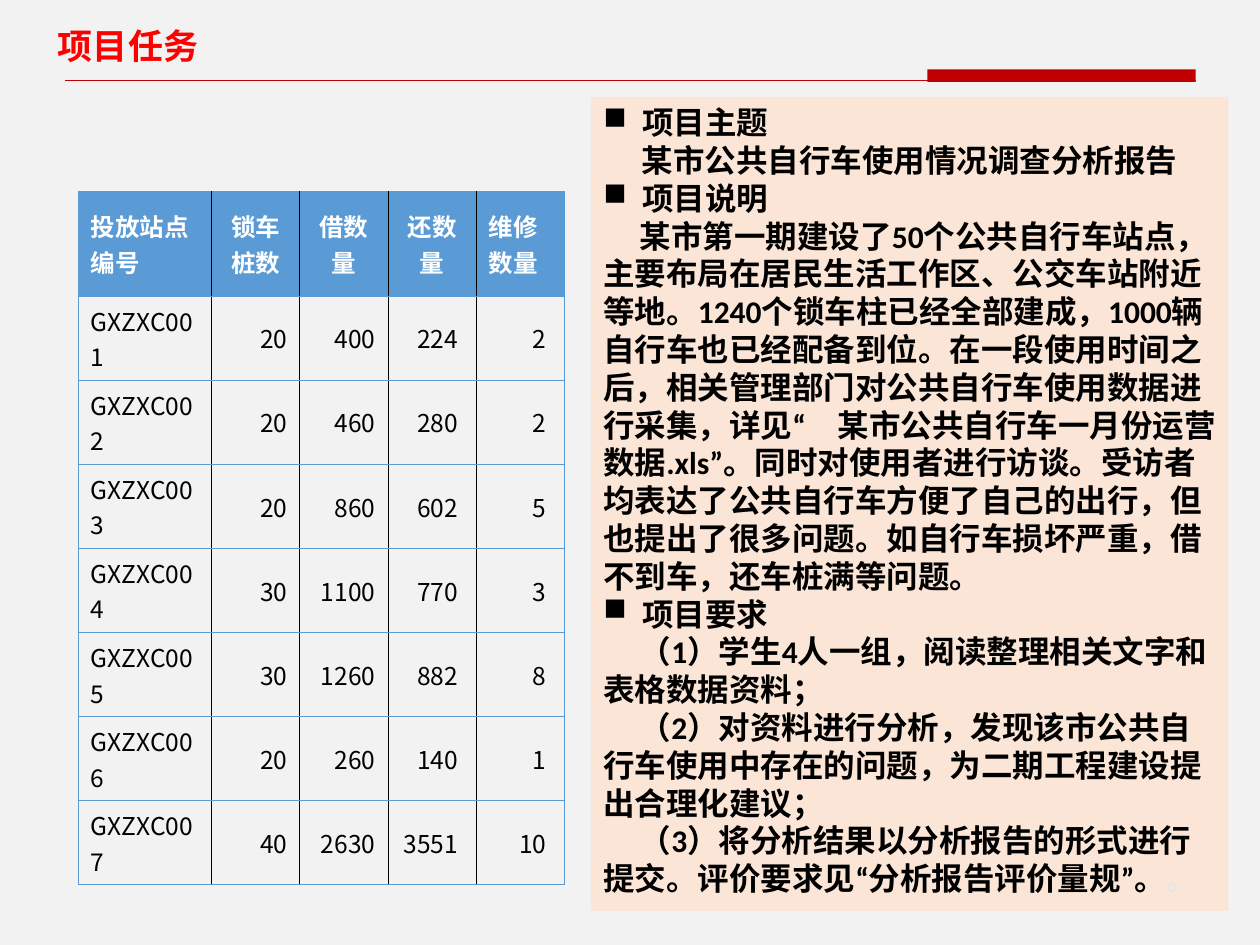
from lxml import etree
from pptx import Presentation
from pptx.dml.color import RGBColor
from pptx.enum import shapes, text
from pptx.oxml import ns
from pptx.util import Inches, Pt

RED = RGBColor(0xFF, 0x00, 0x00)
DARK_RED = RGBColor(0xC0, 0x00, 0x00)
BLUE = RGBColor(0x5B, 0x9B, 0xD5)
PEACH = RGBColor(0xFB, 0xE5, 0xD6)
PALE = RGBColor(0xF2, 0xF2, 0xF2)
GREY = RGBColor(0xE7, 0xE6, 0xE6)
BLACK = RGBColor(0, 0, 0)
WHITE = RGBColor(0xFF, 0xFF, 0xFF)
SANS, SERIF, BODY = "Noto Sans CJK SC", "Times New Roman", "Calibri"
LEFT, CENTER, RIGHT = text.PP_ALIGN.LEFT, text.PP_ALIGN.CENTER, text.PP_ALIGN.RIGHT

TITLE = "项目任务"
HEADER = ["投放站点编号", "锁车桩数", "借数量", "还数量", "维修数量"]
HEADER_ALIGN = [LEFT, CENTER, CENTER, CENTER, LEFT]
STATIONS = [
    ["GXZXC001", "20", "400", "224 ", "2 "],
    ["GXZXC002", "20", "460", "280 ", "2 "],
    ["GXZXC003", "20", "860", "602 ", "5 "],
    ["GXZXC004", "30", "1100", "770 ", "3 "],
    ["GXZXC005", "30", "1260", "882 ", "8 "],
    ["GXZXC006", "20", "260", "140 ", "1 "],
    ["GXZXC007", "40", "2630", "3551 ", "10 "],
]
COLUMN_WIDTHS = [1.06, 0.7, 0.7, 0.7, 0.7]
HEADER_HEIGHT, ROW_HEIGHT = 0.83, 0.52

# Paragraph style and text
BRIEF = [
    ("bullet", "项目主题"),
    ("center", "某市公共自行车使用情况调查分析报告"),
    ("bullet", "项目说明"),
    ("indent", "某市第一期建设了50个公共自行车站点，主要布局在居民生活工作区、公交车站附近等地。"
               "1240个锁车柱已经全部建成，1000辆自行车也已经配备到位。在一段使用时间之后，"
               "相关管理部门对公共自行车使用数据进行采集，详见👈“某市公共自行车一月份运营数据.xls”。"
               "同时对使用者进行访谈。受访者均表达了公共自行车方便了自己的出行，但也提出了很多问题。"
               "如自行车损坏严重，借不到车，还车桩满等问题。"),
    ("bullet", "项目要求"),
    ("indent", "（1）学生4人一组，阅读整理相关文字和表格数据资料；"),
    ("indent", "（2）对资料进行分析，发现该市公共自行车使用中存在的问题，为二期工程建设提出合理化建议；"),
    ("indent", "（3）将分析结果以分析报告的形式进行提交。评价要求见“分析报告评价量规”。"),
]
CLOSING_MARK = "。"


def format_span(span, size, color, bold, latin, asian):
    span.font.size, span.font.bold, span.font.name = Pt(size), bold, latin
    span.font.color.rgb = color
    properties = span.font._element
    east = etree.Element(ns.qn("a:ea"), typeface=asian)
    properties.find(ns.qn("a:latin")).addnext(east)


def add_borders(cell, sides):
    properties = cell._tc.get_or_add_tcPr()
    for position, (side, (color, width)) in enumerate(sides.items()):
        line = etree.Element(ns.qn(f"a:ln{side}"), w=str(Pt(width)))
        fill = etree.SubElement(line, ns.qn("a:solidFill"))
        etree.SubElement(fill, ns.qn("a:srgbClr"), val=str(color))
        properties.insert(position, line)


def add_heading(page):
    title = page.shapes.title
    title.left, title.top = Inches(0.36), Inches(0.14)
    title.width, title.height = Inches(8.97), Inches(0.49)
    title.text_frame.text = TITLE
    title.text_frame.vertical_anchor = text.MSO_ANCHOR.MIDDLE
    para = title.text_frame.paragraphs[0]
    para.alignment, para.line_spacing = LEFT, 0.9
    para.space_before = Pt(0)
    format_span(para.runs[0], 20, RED, True, SANS, SANS)

    rule = page.shapes.add_connector(
        shapes.MSO_CONNECTOR.STRAIGHT,
        Inches(0.52), Inches(0.64), Inches(9.49), Inches(0.64))
    rule.line.color.rgb, rule.line.width = DARK_RED, Pt(0.5)
    etree.SubElement(rule._element.spPr, ns.qn("a:effectLst"))
    add_panel(page, 7.36, 0.55, 2.13, 0.1, DARK_RED)


def add_panel(page, left, top, width, height, color):
    panel = page.shapes.add_shape(
        shapes.MSO_SHAPE.RECTANGLE,
        Inches(left), Inches(top), Inches(width), Inches(height))
    panel.shadow.inherit = False
    panel.fill.solid()
    panel.fill.fore_color.rgb = color
    panel.line.fill.background()
    return panel


def add_station_table(page):
    rows = [HEADER] + STATIONS
    heights = [HEADER_HEIGHT] + [ROW_HEIGHT] * len(STATIONS)
    table = page.shapes.add_table(
        len(rows), len(HEADER), Inches(0.62), Inches(1.52),
        Inches(sum(COLUMN_WIDTHS)), Inches(sum(heights))).table
    table.horz_banding = False
    for column, width in zip(table.columns, COLUMN_WIDTHS):
        column.width = Inches(width)
    for row, height in zip(table.rows, heights):
        row.height = Inches(height)

    outer, inner = (BLUE, 0.5), (BLACK, 0.75)
    last = len(HEADER) - 1
    for r, values in enumerate(rows):
        for c, value in enumerate(values):
            cell = table.cell(r, c)
            cell.text_frame.text = value
            cell.vertical_anchor = text.MSO_ANCHOR.MIDDLE
            para = cell.text_frame.paragraphs[0]
            if r == 0:
                para.alignment = HEADER_ALIGN[c]
                format_span(para.runs[0], 14, WHITE, True, SERIF, SANS)
                cell.fill.solid()
                cell.fill.fore_color.rgb = BLUE
            else:
                para.alignment = LEFT if c == 0 else RIGHT
                format_span(para.runs[0], 14, BLACK, False, SANS, SANS)
                cell.fill.background()
            add_borders(cell, {"L": outer if c == 0 else inner,
                               "R": outer if c == last else inner,
                               "T": outer, "B": outer})


def add_brief(page):
    frame = add_panel(page, 4.69, 0.77, 5.06, 6.46, PEACH).text_frame
    frame.word_wrap = True
    frame.auto_size = text.MSO_AUTO_SIZE.SHAPE_TO_FIT_TEXT
    frame.vertical_anchor = text.MSO_ANCHOR.TOP
    for number, (style, words) in enumerate(BRIEF):
        para = frame.paragraphs[0] if number == 0 else frame.add_paragraph()
        para.text = words
        para.alignment = CENTER if style == "center" else LEFT
        properties = para._p.get_or_add_pPr()
        if style == "bullet":
            properties.set("marL", str(Inches(0.31)))
            properties.set("indent", str(Inches(-0.31)))
            etree.SubElement(properties, ns.qn("a:buChar"), char="■")
        elif style == "indent":
            properties.set("indent", str(Inches(0.29)))
        format_span(para.runs[0], 18, BLACK, True, BODY, BODY)
    mark = para.add_run()
    mark.text = CLOSING_MARK
    format_span(mark, 18, GREY, True, BODY, BODY)


def main():
    deck = Presentation()
    deck.slide_width, deck.slide_height = Inches(10), Inches(7.5)
    page = deck.slides.add_slide(deck.slide_layouts.get_by_name("Title Only"))
    page.background.fill.solid()
    page.background.fill.fore_color.rgb = PALE
    add_heading(page)
    add_station_table(page)
    add_brief(page)
    deck.save("out.pptx")


if __name__ == "__main__":
    main()
